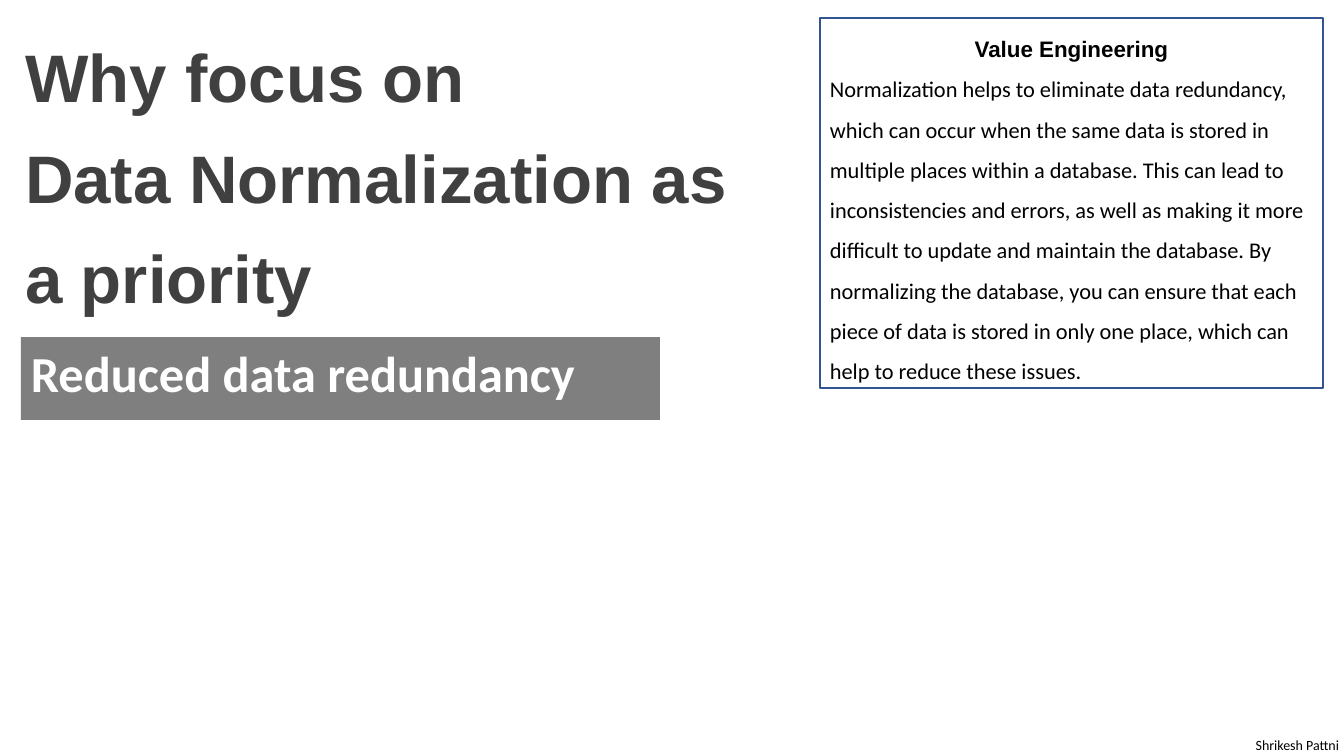
from pptx import Presentation
from pptx.dml.color import RGBColor
from pptx.enum.shapes import MSO_SHAPE as Shape
from pptx.enum.text import MSO_ANCHOR as Anchor, MSO_AUTO_SIZE as AutoSize, PP_ALIGN as Align
from pptx.util import Pt

PX = 914400 / 100.8
COLORS = {"heading": "404040", "banner": "7F7F7F", "border": "325491",
          "white": "FFFFFF", "black": "000000"}


def emu(*lengths):
    return [round(length * PX) for length in lengths]


def color(name):
    return RGBColor.from_string(COLORS[name])


def write(frame, *lines, size, ink="black", font="Calibri", bold=False,
          align=Align.LEFT, spacing=None, anchor=Anchor.TOP, first=True):
    """Write each line as a paragraph, continuing the frame unless first."""
    frame.word_wrap = True
    frame.auto_size = AutoSize.NONE
    frame.vertical_anchor = anchor
    for line in lines:
        para = frame.paragraphs[0] if first else frame.add_paragraph()
        first = False
        para.alignment = align
        para.line_spacing = spacing
        span = para.add_run()
        span.text = line
        span.font.name = font
        span.font.size = Pt(size)
        span.font.bold = bold
        span.font.color.rgb = color(ink)


def add_box(slide, box, fill, border=None):
    shape = slide.shapes.add_shape(Shape.RECTANGLE, *emu(*box))
    shape.shadow.inherit = False
    shape.fill.solid()
    shape.fill.fore_color.rgb = color(fill)
    if border:
        shape.line.color.rgb = color(border)
        shape.line.width = Pt(1)
    else:
        shape.line.fill.background()
    return shape.text_frame


def add_heading(slide, box):
    title = slide.shapes.title
    title.left, title.top, title.width, title.height = emu(*box)
    frame = title.text_frame
    frame.margin_left = frame.margin_top = frame.margin_right = frame.margin_bottom = 0
    write(frame, "Why focus on", "Data Normalization as a priority", size=48,
          ink="heading", font="Arial", bold=True, spacing=Pt(72))


def add_banner(slide, box):
    write(add_box(slide, box, "banner"), "Reduced data redundancy",
          size=36, ink="white", bold=True)


def add_value_panel(slide, box):
    frame = add_box(slide, box, "white", "border")
    write(frame, "Value Engineering", size=16, font="Arial", bold=True,
          align=Align.CENTER, spacing=1.5, anchor=Anchor.MIDDLE)
    write(frame,
          "Normalization helps to eliminate data redundancy, which can occur when the "
          "same data is stored in multiple places within a database. This can lead to "
          "inconsistencies and errors, as well as making it more difficult to update "
          "and maintain the database. By normalizing the database, you can ensure that "
          "each piece of data is stored in only one place, which can help to reduce "
          "these issues.",
          size=16, spacing=1.5, anchor=Anchor.MIDDLE, first=False)


def add_author(slide, box):
    frame = slide.shapes.add_textbox(*emu(*box)).text_frame
    write(frame, "Shrikesh Pattni", size=10, align=Align.RIGHT)


def main():
    deck = Presentation()
    deck.slide_width, deck.slide_height = emu(1344, 756)
    slide = deck.slides.add_slide(deck.slide_layouts[5])  # title only

    # Left column: heading and banner
    add_heading(slide, (25, 15, 729, 295))
    add_banner(slide, (21, 337, 639, 83))
    # Right column: explanation
    add_value_panel(slide, (820, 18, 503, 370))
    # Bottom corner: author
    add_author(slide, (1212, 732, 137, 27))

    deck.save("out.pptx")


if __name__ == "__main__":
    main()
